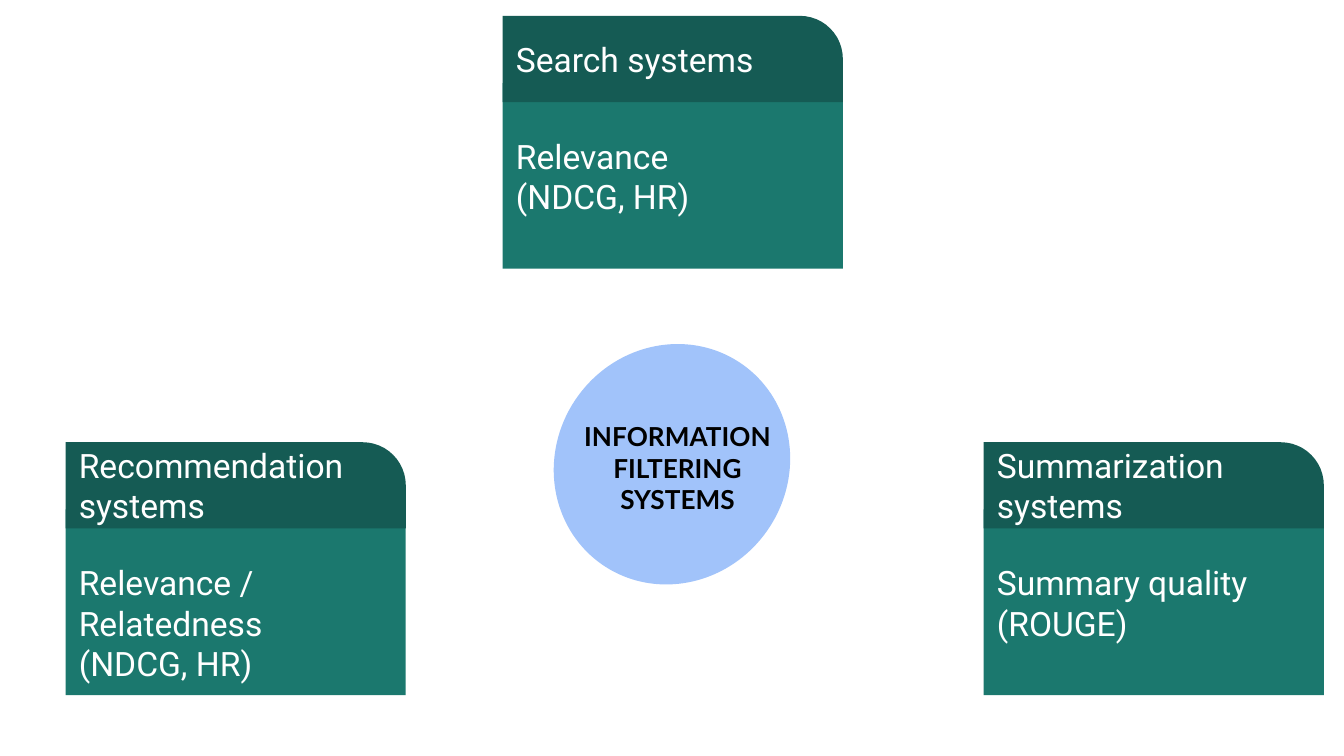
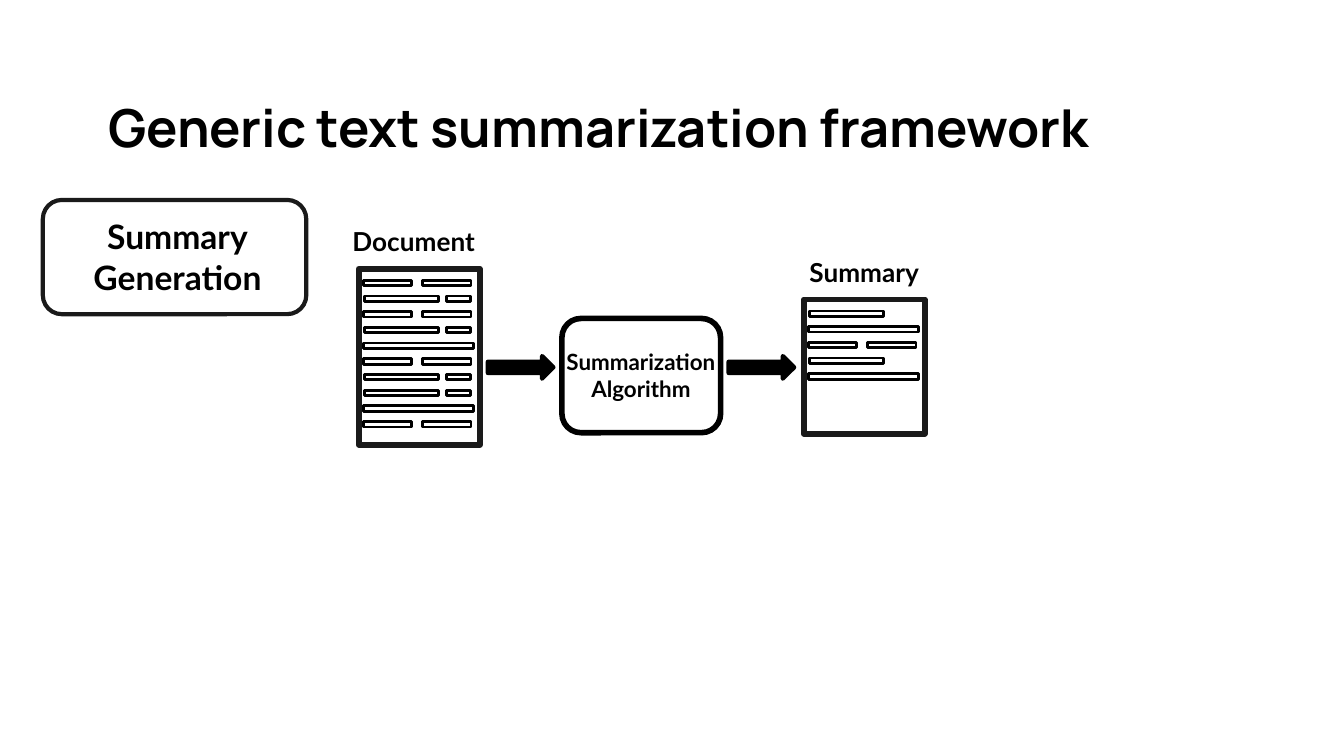
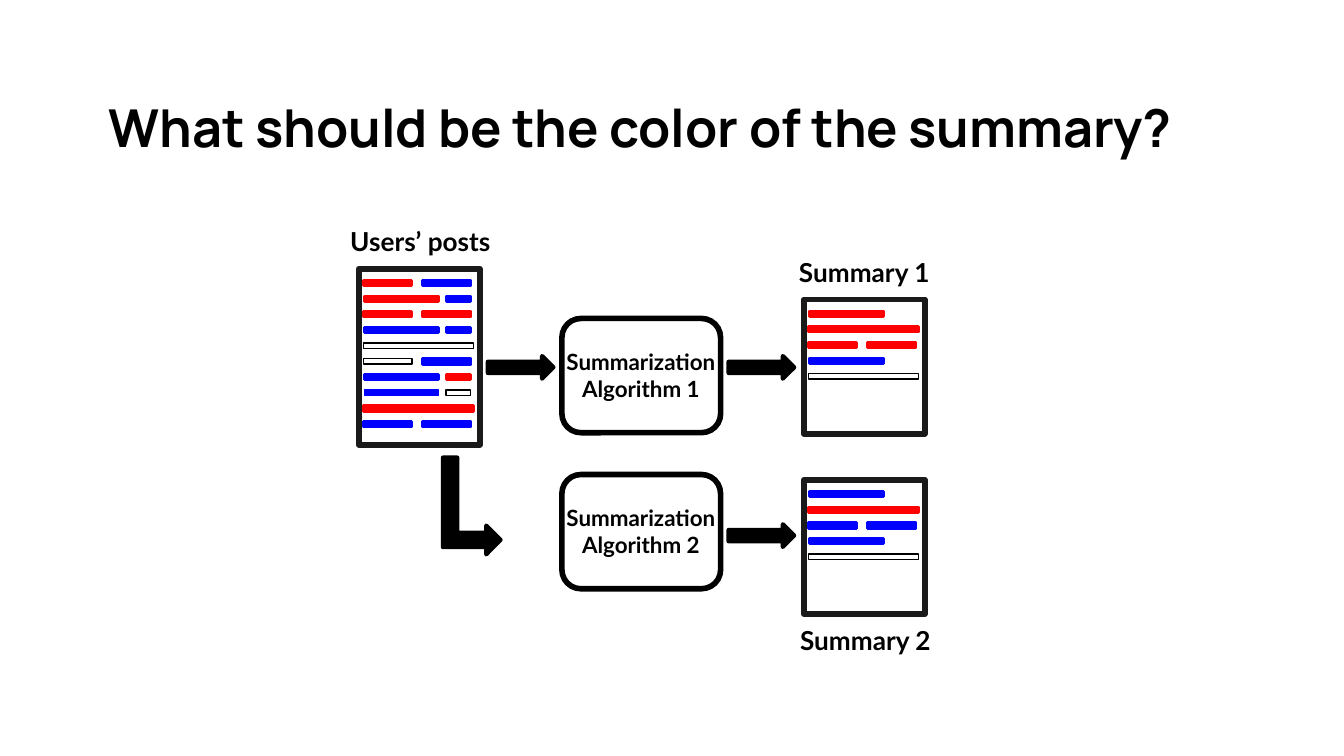
from dataclasses import dataclass
from typing import NamedTuple

from pptx import Presentation
from pptx.dml.color import RGBColor
from pptx.enum.shapes import MSO_SHAPE
from pptx.enum.text import MSO_ANCHOR, MSO_AUTO_SIZE, PP_ALIGN
from pptx.util import Cm, Pt

LEFT, CENTER = PP_ALIGN.LEFT, PP_ALIGN.CENTER
TOP, MIDDLE = MSO_ANCHOR.TOP, MSO_ANCHOR.MIDDLE
NO_FIT = MSO_AUTO_SIZE.NONE
OVAL, RECTANGLE = MSO_SHAPE.OVAL, MSO_SHAPE.RECTANGLE
ROUNDED, ROUND_ONE = MSO_SHAPE.ROUNDED_RECTANGLE, MSO_SHAPE.ROUND_1_RECTANGLE
MINUS = MSO_SHAPE.MATH_MINUS
ARROW, BENT_ARROW = MSO_SHAPE.RIGHT_ARROW, MSO_SHAPE.BENT_UP_ARROW
TITLE_ONLY, BLANK = 5, 6

COLORS = {
    "black": "000000",
    "white": "FFFFFF",
    "ink": "1A1A1A",
    "red": "FF0000",
    "blue": "0000FF",
    "sky": "A1C3FA",
    "teal": "1B786E",
    "dark teal": "155B54",
}

FONTS = {
    "title": {"name": "Manrope", "size": Pt(28), "bold": True},
    "card": {"name": "Roboto", "size": Pt(18), "bold": False},
    "heading": {"name": "Lato", "size": Pt(18), "bold": True},
    "label": {"name": "Lato", "size": Pt(14), "bold": True},
    "step": {"name": "Lato", "size": Pt(12), "bold": True},
}

INSET = 0.25


class Area(NamedTuple):
    """A rectangle in centimetres."""
    left: float
    top: float
    width: float
    height: float

    def lengths(self) -> list:
        return [Cm(value) for value in self]


class Outline(NamedTuple):
    color: str
    width: float


class Bar(NamedTuple):
    """The look of one line of writing on a sheet."""
    fill: str | None
    outline: Outline


@dataclass
class Card:
    left: float
    top: float
    heading: list[str]
    body: list[str]


@dataclass
class Sheet:
    """A page of writing; each row pairs a layout with one bar code per slot."""
    area: Area
    rows: list[tuple[str, str]]
    caption: str
    caption_area: Area


@dataclass
class Step:
    """An algorithm box."""
    top: float
    lines: list[str]


# Slots are (offset from the sheet's left edge, width) in centimetres.
ROW_SLOTS = {
    "halves": [(-0.08, 1.25), (1.04, 1.25)],
    "long": [(-0.14, 1.9), (1.57, 0.62)],
    "full": [(-0.28, 2.82)],
}
ROW_OFFSET, ROW_HEIGHT, ROW_PITCH = 0.05, 0.44, 2.67 / 9

BARS = {
    "r": Bar("red", Outline("red", 1.5)),
    "b": Bar("blue", Outline("blue", 1.5)),
    "n": Bar("blue", Outline("blue", 0.75)),
    "o": Bar(None, Outline("black", 1.5)),
    "t": Bar(None, Outline("black", 0.75)),
}

DOCUMENT_AREA = Area(6.78, 5.08, 2.29, 3.33)
SUMMARY_AREA = Area(15.19, 5.66, 2.29, 2.54)
SUMMARY_CAPTION = Area(14.53, 4.6, 3.61, 0.89)
STEP_TOP = 6.02
FIRST_ARROW = Area(9.22, 6.73, 1.24, 0.43)
SECOND_ARROW = FIRST_ARROW._replace(left=13.77)

CARDS = [
    Card(1.24, 8.36, ["Recommendation", "systems"],
         ["Relevance / Relatedness", "(NDCG, HR)"]),
    Card(18.59, 8.36, ["Summarization", "systems"],
         ["Summary quality", "(ROUGE)"]),
    Card(9.5, 0.3, ["Search systems"], ["Relevance", "(NDCG, HR)"]),
]

GENERIC_SHEETS = [
    Sheet(DOCUMENT_AREA,
          [("halves", "oo"), ("long", "oo"), ("halves", "oo"), ("long", "oo"),
           ("full", "o"), ("halves", "oo"), ("long", "oo"), ("long", "oo"),
           ("full", "o"), ("halves", "oo")],
          "Document", Area(6.32, 4.01, 3.0, 0.89)),
    Sheet(SUMMARY_AREA,
          [("long", "o"), ("full", "o"), ("halves", "oo"), ("long", "o"),
           ("full", "o")],
          "Summary", SUMMARY_CAPTION),
]

COLORED_SHEETS = [
    Sheet(DOCUMENT_AREA,
          [("halves", "rb"), ("long", "rb"), ("halves", "rr"), ("long", "bb"),
           ("full", "t"), ("halves", "tb"), ("long", "br"), ("long", "nt"),
           ("full", "r"), ("halves", "bb")],
          "Users’ posts", Area(6.32, 4.01, 3.25, 0.89)),
    Sheet(SUMMARY_AREA,
          [("long", "r"), ("full", "r"), ("halves", "rr"), ("long", "b"),
           ("full", "t")],
          "Summary 1", SUMMARY_CAPTION),
    Sheet(SUMMARY_AREA._replace(top=9.07),
          [("long", "b"), ("full", "r"), ("halves", "bb"), ("long", "b"),
           ("full", "t")],
          "Summary 2", Area(14.73, 11.56, 3.25, 0.91)),
]


def rgb(color: str) -> RGBColor:
    return RGBColor.from_string(COLORS[color])


def add_box(page, kind, area: Area, fill: str | None = None,
            outline: Outline | None = None, rotation: float = 0):
    box = page.shapes.add_shape(kind, *area.lengths())
    box.shadow.inherit = False
    box.rotation = rotation
    if fill:
        box.fill.solid()
        box.fill.fore_color.rgb = rgb(fill)
    else:
        box.fill.background()
    if outline:
        box.line.color.rgb = rgb(outline.color)
        box.line.width = Pt(outline.width)
    else:
        box.line.fill.background()
    return box


def write(box, lines: list[str], font: str, color: str = "black",
          align=CENTER, anchor=TOP, top_inset: float = INSET) -> None:
    frame = box.text_frame
    settings = {
        "word_wrap": True, "auto_size": NO_FIT, "vertical_anchor": anchor,
        "margin_left": Cm(INSET), "margin_right": Cm(INSET),
        "margin_top": Cm(top_inset), "margin_bottom": Cm(INSET),
    }
    for name, value in settings.items():
        setattr(frame, name, value)
    for index, line in enumerate(lines):
        para = frame.add_paragraph() if index else frame.paragraphs[0]
        para.alignment = align
        span = para.add_run()
        span.text = line
        for name, value in FONTS[font].items():
            setattr(span.font, name, value)
        span.font.color.rgb = rgb(color)


def add_label(page, area: Area, lines: list[str], font: str = "label") -> None:
    write(page.shapes.add_textbox(*area.lengths()), lines, font)


def add_titled_page(deck, title: str):
    page = deck.slides.add_slide(deck.slide_layouts[TITLE_ONLY])
    box = page.shapes.title
    box.left, box.top, box.width, box.height = Area(1.8, 1.55, 21.36, 1.65).lengths()
    write(box, [title], "title", align=LEFT)
    return page


def add_card(page, card: Card) -> None:
    body = add_box(page, RECTANGLE, Area(card.left, card.top + 1.27, 6.43, 3.51), "teal")
    write(body, card.body, "card", "white", LEFT, top_inset=1.0)
    heading = add_box(page, ROUND_ONE, Area(card.left, card.top, 6.43, 1.63), "dark teal")
    heading.adjustments[0] = 0.5
    write(heading, card.heading, "card", "white", LEFT, MIDDLE)


def add_sheet(page, sheet: Sheet) -> None:
    left, top = sheet.area.left, sheet.area.top + ROW_OFFSET
    for index, (layout, codes) in enumerate(sheet.rows):
        for (offset, width), code in zip(ROW_SLOTS[layout], codes):
            area = Area(left + offset, top + index * ROW_PITCH, width, ROW_HEIGHT)
            add_box(page, MINUS, area, *BARS[code])
    add_box(page, RECTANGLE, sheet.area, outline=Outline("ink", 3))
    add_label(page, sheet.caption_area, [sheet.caption])


def add_step(page, step: Step) -> None:
    add_box(page, ROUNDED, Area(10.62, step.top, 3.0, 2.16), outline=Outline("black", 3))
    add_label(page, Area(10.06, step.top + 0.31, 4.11, 0.53), step.lines, "step")


def add_arrow(page, area: Area, kind=ARROW, rotation: float = 0) -> None:
    add_box(page, kind, area, "black", Outline("black", 2.25), rotation)


def add_flow(page, sheets: list[Sheet], steps: list[Step], arrows: list[Area]) -> None:
    for sheet in sheets:
        add_sheet(page, sheet)
    for step in steps:
        add_step(page, step)
    for area in arrows:
        add_arrow(page, area)


def build_systems_page(deck) -> None:
    page = deck.slides.add_slide(deck.slide_layouts[BLANK])
    add_box(page, OVAL, Area(10.39, 6.58, 4.62, 4.39), "sky", rotation=305.3)
    for card in CARDS:
        add_card(page, card)
    add_label(page, Area(10.34, 7.7, 4.93, 2.39), ["INFORMATION FILTERING", "SYSTEMS"])


def build_framework_page(deck) -> None:
    page = add_titled_page(deck, "Generic text summarization framework")
    add_flow(page, GENERIC_SHEETS, [Step(STEP_TOP, ["Summarization", "Algorithm"])],
             [FIRST_ARROW, SECOND_ARROW])
    add_box(page, ROUNDED, Area(0.81, 3.78, 4.98, 2.16), outline=Outline("ink", 2.25))
    add_label(page, Area(1.3, 3.84, 4.11, 1.07), ["Summary", "Generation"], "heading")


def build_color_page(deck) -> None:
    page = add_titled_page(deck, "What should be the color of the summary?")
    steps = [Step(top, ["Summarization", f"Algorithm {number}"])
             for number, top in enumerate((STEP_TOP, 8.97), start=1)]
    add_flow(page, COLORED_SHEETS, steps,
             [FIRST_ARROW, SECOND_ARROW, SECOND_ARROW._replace(top=9.91)])
    add_arrow(page, Area(8.0, 9.02, 1.83, 1.09), BENT_ARROW, rotation=90)


def main() -> None:
    deck = Presentation()
    deck.slide_width, deck.slide_height = Cm(25.4), Cm(14.29)
    build_systems_page(deck)
    build_framework_page(deck)
    build_color_page(deck)
    deck.save("out.pptx")


if __name__ == "__main__":
    main()
